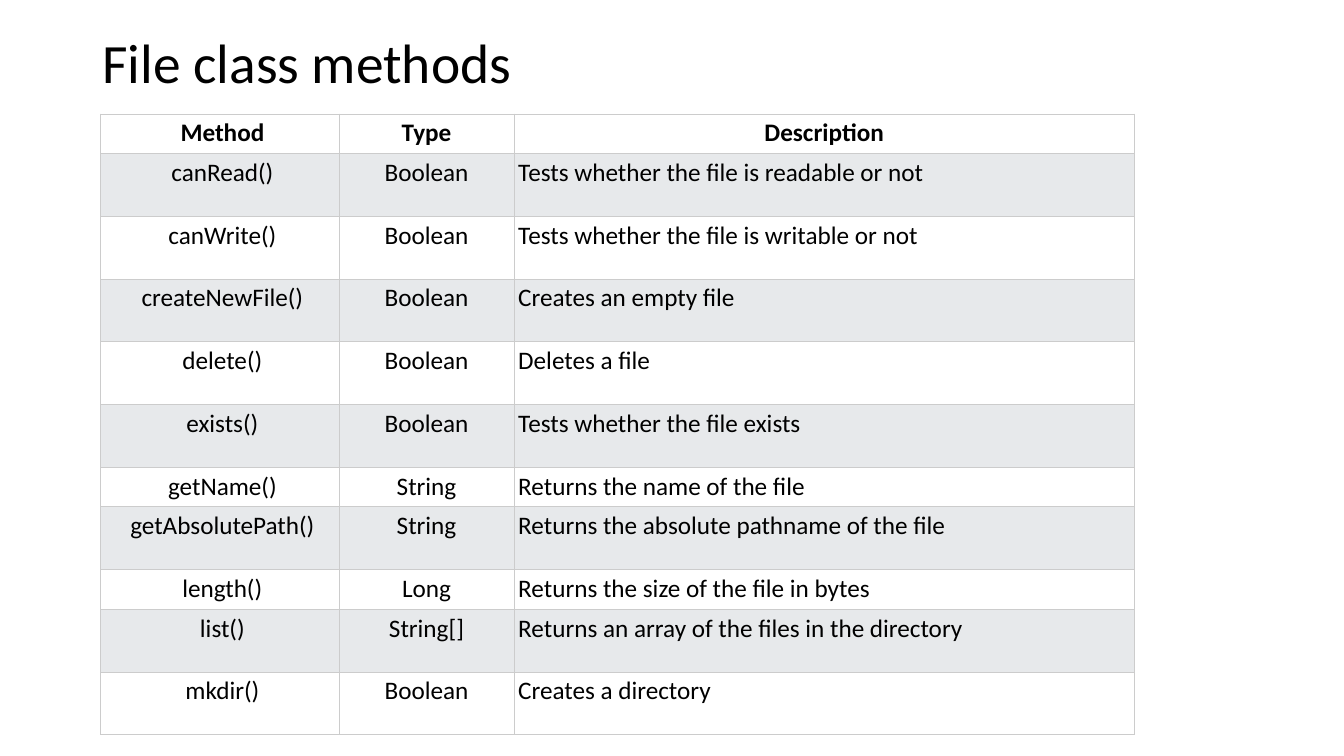
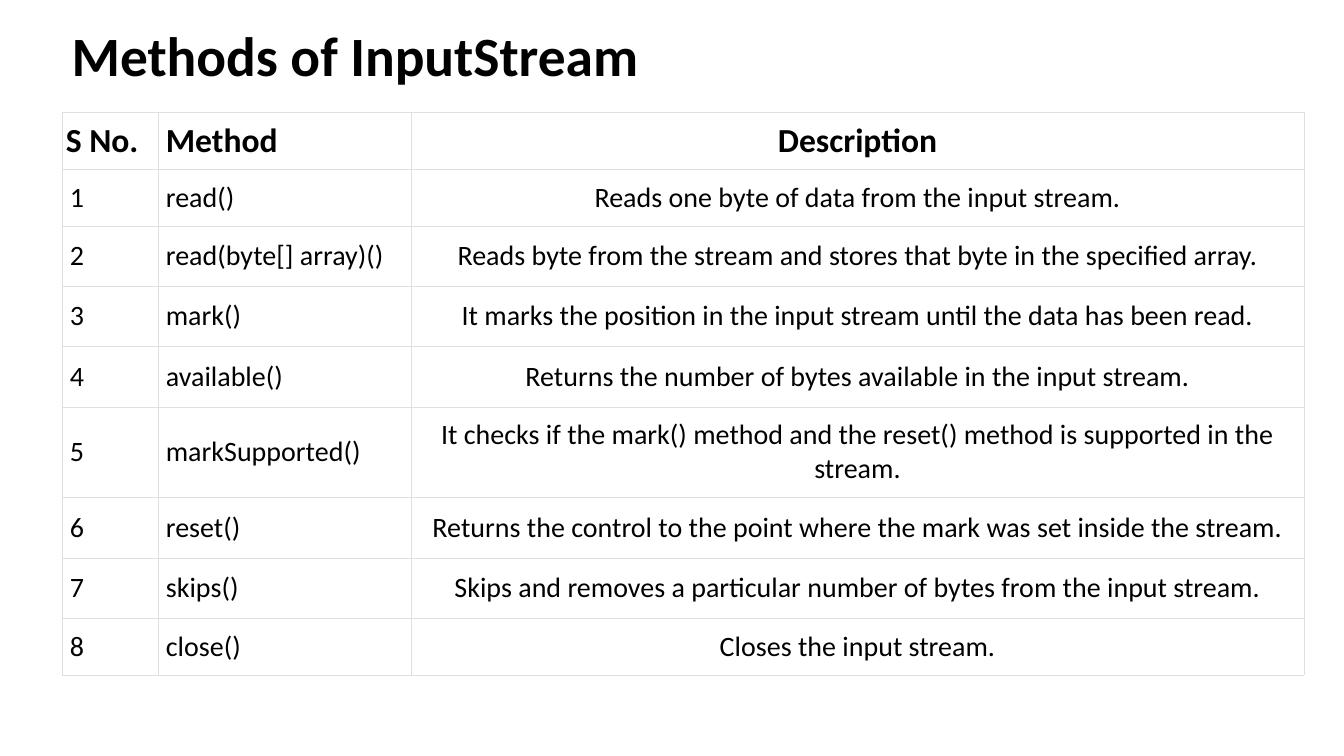
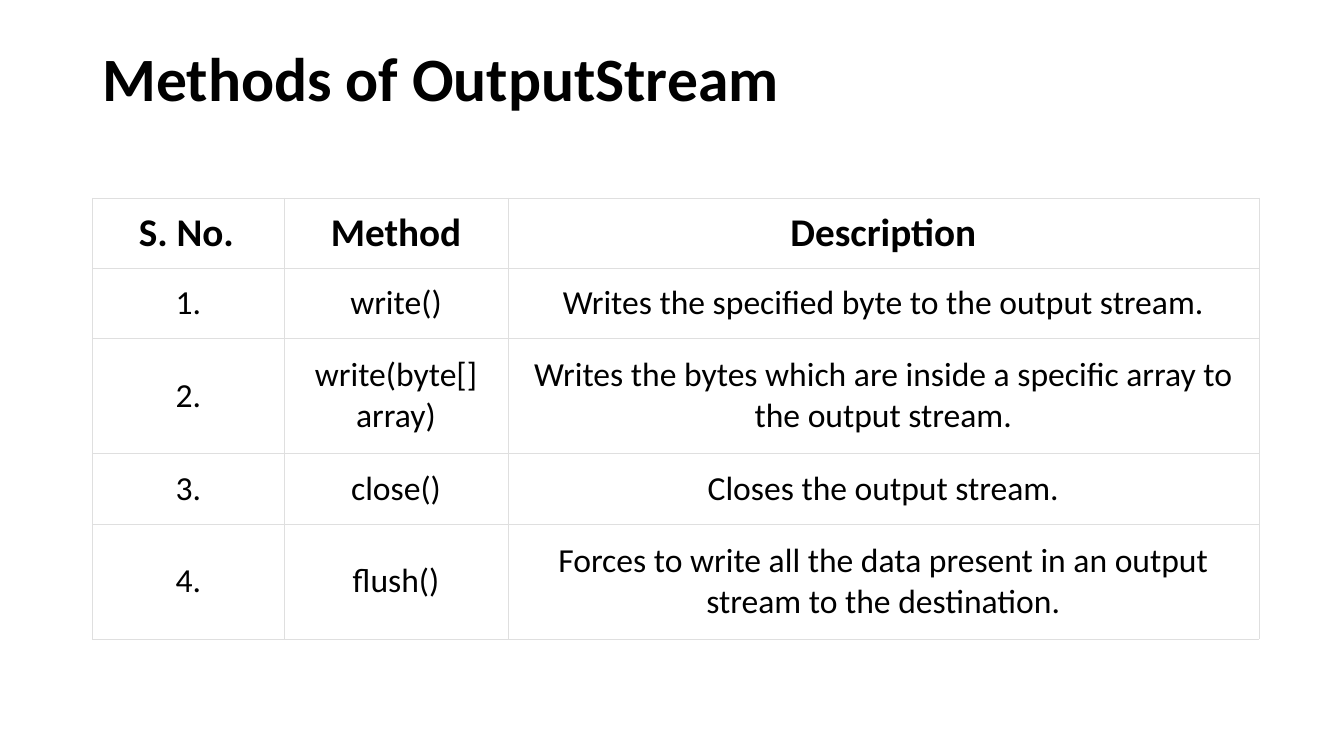
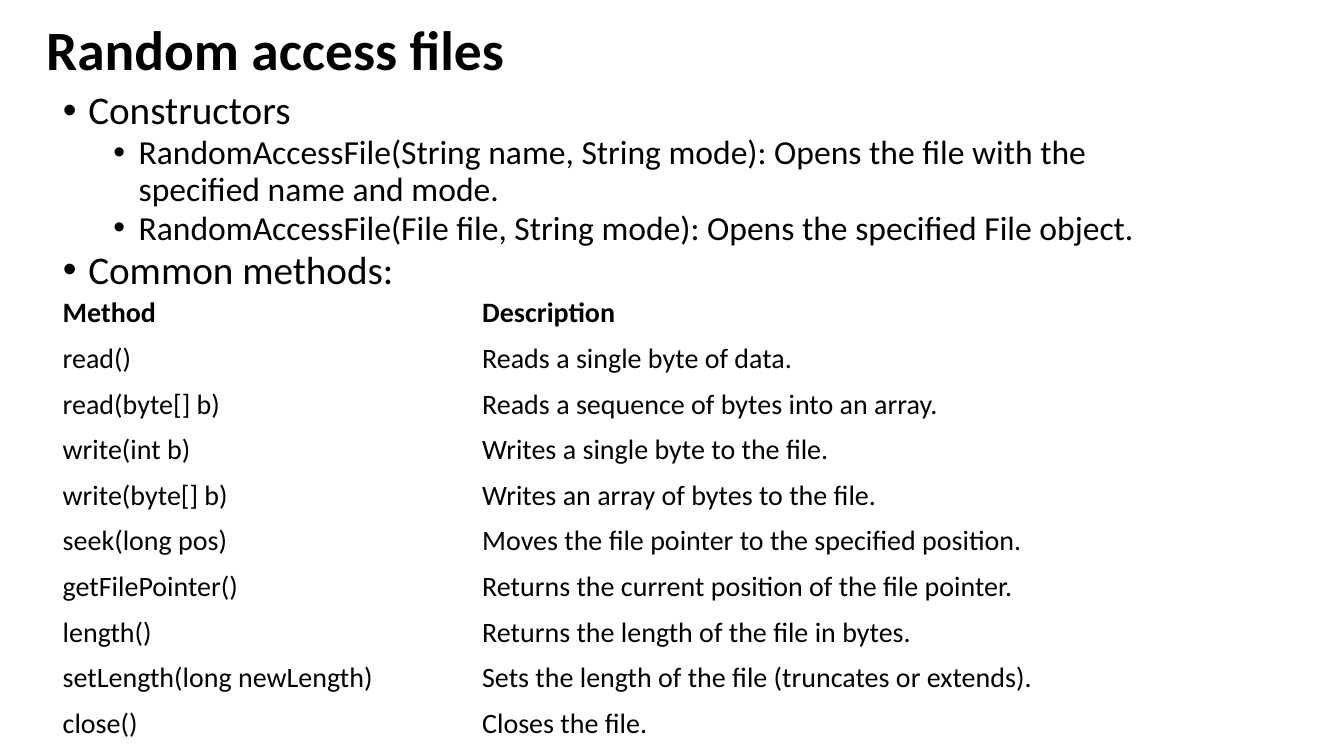
from lxml.etree import SubElement
from pptx import Presentation
from pptx.dml.color import RGBColor
from pptx.enum.text import MSO_ANCHOR as Anchor, MSO_AUTO_SIZE as Fit, PP_ALIGN as Align
from pptx.oxml.ns import qn
from pptx.util import Cm, Pt

BLACK = RGBColor(0x00, 0x00, 0x00)
WHITE = RGBColor(0xFF, 0xFF, 0xFF)
BAND = RGBColor(0xE7, 0xE9, 0xEB)
RULE = RGBColor(0xCC, 0xCC, 0xCC)
HAIR = RGBColor(0xDF, 0xDF, 0xDF)
FONT = "Calibri"
SIDES = {"l": Align.LEFT, "c": Align.CENTER}


def put(par, text, size=20, bold=False, side="l", lines=None, before=0):
    """Write text into a paragraph with its format."""
    par.alignment = SIDES[side]
    par.line_spacing = lines
    par.space_before = Pt(before)
    run = par.add_run()
    run.text = text
    font = run.font
    font.name, font.size, font.bold = FONT, Pt(size), bold
    font.color.rgb = BLACK


def grid(slide, rows, spot, cols, highs, sides, sizes, pads,
         fills=None, edge=None, width=0.5, anchor=Anchor.MIDDLE):
    """Add a table; sides, sizes and pads each hold a head and a body value.

    A pad is the left inset of the first column, the other side insets,
    and the top and bottom insets, in centimetres.
    """
    left, top = spot
    table = slide.shapes.add_table(len(rows), len(cols), Cm(left), Cm(top),
                                   Cm(sum(cols)), Cm(sum(highs))).table
    table.first_row = table.horz_banding = False
    for col, wide in zip(table.columns, cols):
        col.width = Cm(wide)
    for r, (row, high) in enumerate(zip(rows, highs)):
        table.rows[r].height = Cm(high)
        part = 0 if r == 0 else 1
        lead, flank, rise = pads[part]
        for c, text in enumerate(row):
            cell = table.cell(r, c)
            cell.vertical_anchor = anchor
            cell.margin_left = Cm(lead if c == 0 else flank)
            cell.margin_right = Cm(flank)
            cell.margin_top = cell.margin_bottom = Cm(rise)
            put(cell.text_frame.paragraphs[0], text, size=sizes[part],
                bold=r == 0, side=sides[part][c])
            # Borders come before the fill in the cell properties
            if edge is not None:
                props = cell._tc.get_or_add_tcPr()
                for tag in ("a:lnL", "a:lnR", "a:lnT", "a:lnB"):
                    line = SubElement(props, qn(tag), w=str(Pt(width)))
                    solid = SubElement(line, qn("a:solidFill"))
                    SubElement(solid, qn("a:srgbClr"), val=str(edge))
            if fills:
                cell.fill.solid()
                cell.fill.fore_color.rgb = fills[r % len(fills)]
            else:
                cell.fill.background()


deck = Presentation()
deck.slide_width, deck.slide_height = Cm(33.87), Cm(19.05)

# Slides with their titles: layout, text, left, top, height, size, bold
HEADS = [
    (5, "File class methods", 2.33, 1.02, 1.24, 39.6, False),
    (5, "Methods of InputStream", 1.55, 0.58, 1.8, 39.6, True),
    (5, "Methods of OutputStream", 2.33, 1.02, 2.06, 44, True),
    (1, "Random access files", 0.91, 0.46, 1.73, 39.6, True),
]
slides = []
for kind, text, left, top, high, size, bold in HEADS:
    slide = deck.slides.add_slide(deck.slide_layouts[kind])
    title = slide.shapes.title
    title.left, title.top = Cm(left), Cm(top)
    title.width, title.height = Cm(29.21), Cm(high)
    frame = title.text_frame
    frame.auto_size, frame.vertical_anchor = Fit.NONE, Anchor.MIDDLE
    put(frame.paragraphs[0], text, size=size, bold=bold, lines=0.9)
    slides.append(slide)
files, reads, writes, access = slides

# File class methods
rows = [
    ("Method", "Type", "Description"),
    ("canRead()", "Boolean", "Tests whether the file is readable or not"),
    ("canWrite()", "Boolean", "Tests whether the file is writable or not"),
    ("createNewFile()", "Boolean", "Creates an empty file"),
    ("delete()", "Boolean", "Deletes a file"),
    ("exists()", "Boolean", "Tests whether the file exists"),
    ("getName()", "String", "Returns the name of the file"),
    ("getAbsolutePath()", "String", "Returns the absolute pathname of the file"),
    ("length()", "Long", "Returns the size of the file in bytes"),
    ("list()", "String[]", "Returns an array of the files in the directory"),
    ("mkdir()", "Boolean", "Creates a directory"),
]
low, tall = 1.0, 1.58
grid(files, rows, (2.54, 2.87), (6.0, 4.42, 15.62),
     [low if r in (0, 6, 8) else tall for r in range(len(rows))],
     sides=("ccc", "ccl"), sizes=(18, 18), pads=[(0.23, 0.1, 0.1)] * 2,
     fills=(WHITE, BAND), edge=RULE, width=0.6, anchor=Anchor.TOP)

# Methods of InputStream
rows = [
    ("S No.", "Method", "Description"),
    ("1", "read()", "Reads one byte of data from the input stream."),
    ("2", "read(byte[] array)()",
     "Reads byte from the stream and stores that byte in the specified array."),
    ("3", "mark()",
     "It marks the position in the input stream until the data has been read."),
    ("4", "available()",
     "Returns the number of bytes available in the input stream."),
    ("5", "markSupported()",
     "It checks if the mark() method and the reset() method is supported in the stream."),
    ("6", "reset()",
     "Returns the control to the point where the mark was set inside the stream."),
    ("7", "skips()",
     "Skips and removes a particular number of bytes from the input stream."),
    ("8", "close()", "Closes the input stream."),
]
low, mid, tall = 1.42, 1.52, 2.27
grid(reads, rows, (1.56, 2.83), (2.42, 6.38, 22.5),
     [low, low, mid, mid, mid, tall, mid, mid, low],
     sides=("llc", "llc"), sizes=(24, 20),
     pads=[(0.1, 0.2, 0.2), (0.2, 0.2, 0.28)],
     fills=(WHITE,), edge=HAIR, width=0.18)

# Methods of OutputStream
rows = [
    ("S. No.", "Method", "Description"),
    ("1.", "write()", "Writes the specified byte to the output stream."),
    ("2.", "write(byte[] array)",
     "Writes the bytes which are inside a specific array to the output stream."),
    ("3.", "close()", "Closes the output stream."),
    ("4.", "flush()",
     "Forces to write all the data present in an output stream to the destination."),
]
low, tall = 1.77, 2.9
grid(writes, rows, (2.33, 4.99), (4.83, 5.64, 18.92), [low, low, tall, low, tall],
     sides=("ccc", "ccc"), sizes=(28, 24),
     pads=[(0.1, 0.2, 0.2), (0.2, 0.2, 0.3)],
     fills=(WHITE,), edge=HAIR, width=0.18)

# Random access files: list
body = access.placeholders[1]
body.left, body.top, body.width, body.height = Cm(1.33), Cm(2.16), Cm(29.21), Cm(5.77)
frame = body.text_frame
frame.auto_size = Fit.NONE
items = [
    (0, "Constructors"),
    (1, "RandomAccessFile(String name, String mode): "
        "Opens the file with the specified name and mode."),
    (1, "RandomAccessFile(File file, String mode): Opens the specified File object."),
    (0, "Common methods:"),
]
for i, (level, text) in enumerate(items):
    par = frame.add_paragraph() if i else frame.paragraphs[0]
    par.level = level
    put(par, text, size=24 if level else 28, lines=0.9, before=2)
    props = par._p.get_or_add_pPr()
    props.set("marL", str(Cm(0.64 + 1.27 * level)))
    props.set("indent", str(Cm(-0.64)))
    SubElement(props, qn("a:buFont"), typeface="Arial")
    SubElement(props, qn("a:buChar"), char="•")

# Random access files: methods
rows = [
    ("Method", "Description"),
    ("read()", "Reads a single byte of data."),
    ("read(byte[] b)", "Reads a sequence of bytes into an array."),
    ("write(int b)", "Writes a single byte to the file."),
    ("write(byte[] b)", "Writes an array of bytes to the file."),
    ("seek(long pos)", "Moves the file pointer to the specified position."),
    ("getFilePointer()", "Returns the current position of the file pointer."),
    ("length()", "Returns the length of the file in bytes."),
    ("setLength(long newLength)",
     "Sets the length of the file (truncates or extends)."),
    ("close()", "Closes the file."),
]
grid(access, rows, (1.33, 7.32), (10.57, 21.43), [1.15] * len(rows),
     sides=("ll", "ll"), sizes=(20, 20), pads=[(0.25, 0.25, 0.13)] * 2)

deck.save("out.pptx")
